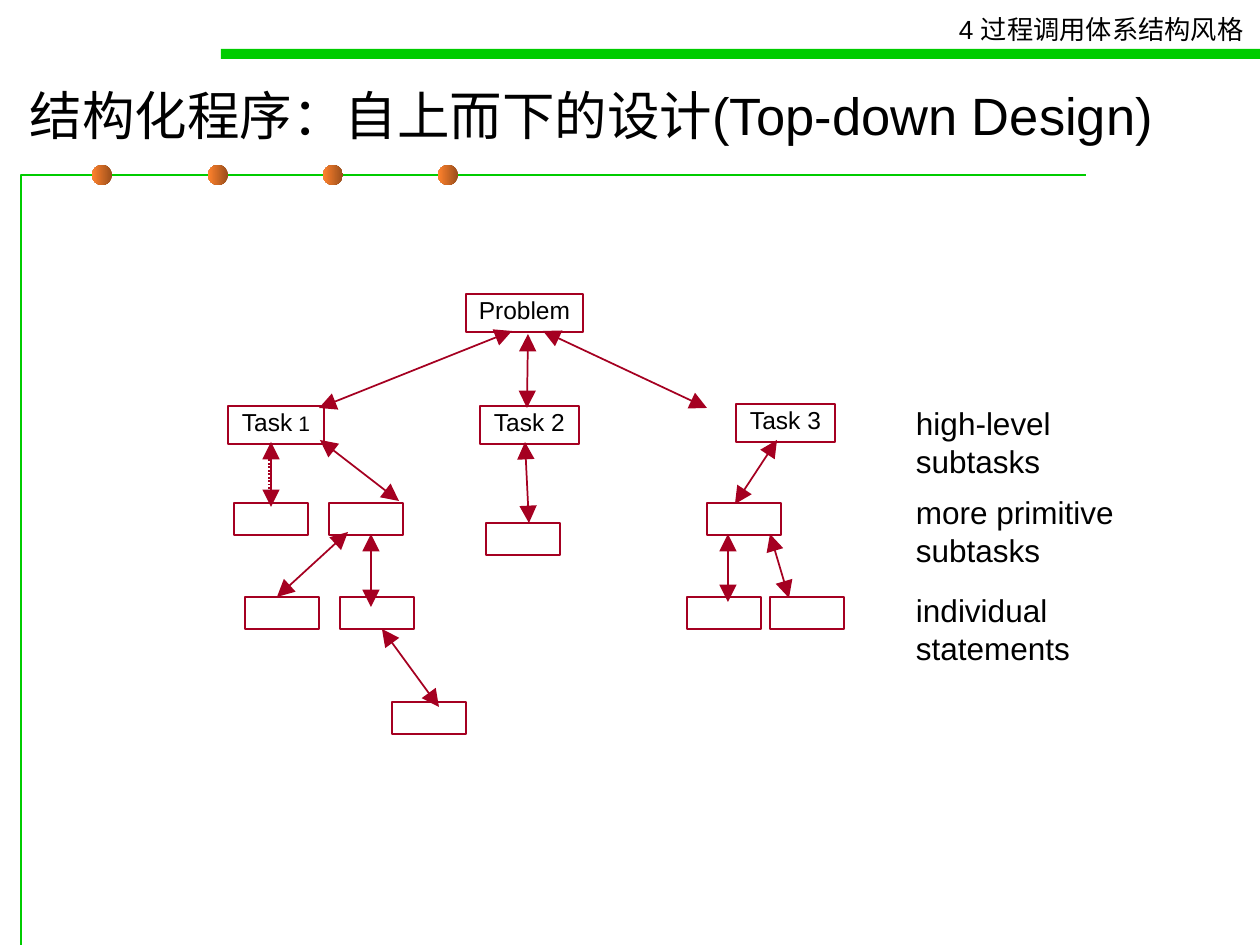
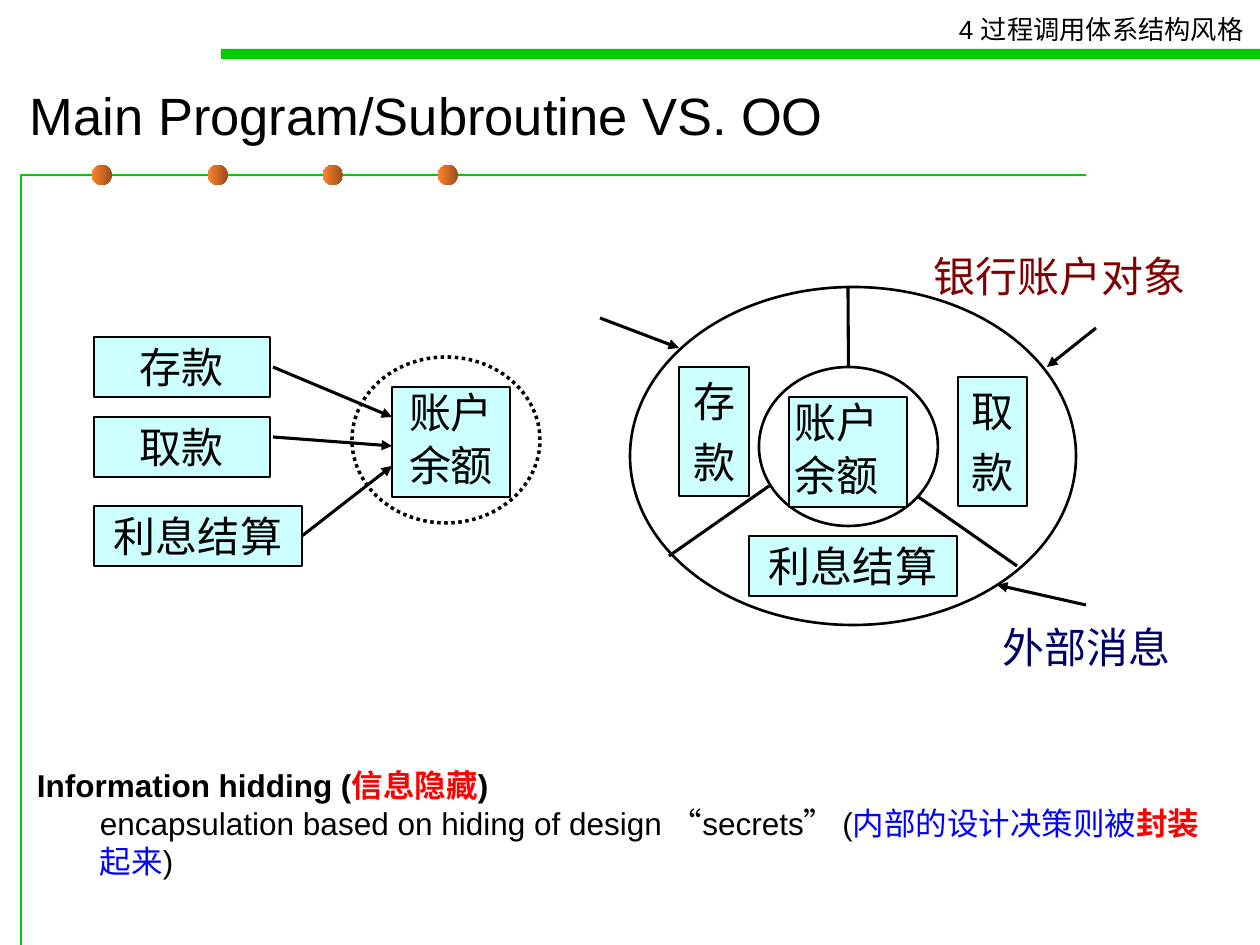
from lxml import etree
from pptx import Presentation
from pptx.dml.color import RGBColor
from pptx.enum.dml import MSO_LINE
from pptx.enum.shapes import MSO_CONNECTOR, MSO_SHAPE
from pptx.enum.text import MSO_ANCHOR, PP_ALIGN
from pptx.oxml.ns import qn
from pptx.util import Emu, Pt

STRAIGHT = MSO_CONNECTOR.STRAIGHT
RECTANGLE, OVAL = MSO_SHAPE.RECTANGLE, MSO_SHAPE.OVAL
DOTTED = MSO_LINE.ROUND_DOT
TOP, MIDDLE = MSO_ANCHOR.TOP, MSO_ANCHOR.MIDDLE
LEFT, CENTER = PP_ALIGN.LEFT, PP_ALIGN.CENTER

BLACK = RGBColor(0x00, 0x00, 0x00)
GREEN = RGBColor(0x00, 0xCC, 0x00)
BEAD_DARK = RGBColor(0x9A, 0x4E, 0x1B)
BEAD_LIGHT = RGBColor(0xFF, 0x82, 0x2D)
CRIMSON = RGBColor(0xA5, 0x00, 0x21)
CYAN = RGBColor(0xCC, 0xFF, 0xFF)
MAROON = RGBColor(0x80, 0x00, 0x00)
NAVY = RGBColor(0x00, 0x00, 0x66)
RED = RGBColor(0xFF, 0x00, 0x00)
BLUE = RGBColor(0x00, 0x00, 0xFF)

SANS, SERIF = "Arial", "Times New Roman"
HEADER = "4 过程调用体系结构风格"


def px(length):
    """Turn pixels into EMU."""
    return Emu(round(length * 914400 / 126))


def style(run, size, color=BLACK, font=SANS, bold=False):
    """Give a run its font."""
    run.font.name, run.font.size, run.font.bold = font, Pt(size), bold
    run.font.color.rgb = color


def write(shape, text, size, color=BLACK, font=SANS, align=LEFT, anchor=TOP,
          wrap=True, inset=(13, 6), line_spacing=None, gap=0):
    """Fill a shape with evenly formatted paragraphs."""
    frame = shape.text_frame
    frame.text = text
    frame.word_wrap, frame.vertical_anchor = wrap, anchor
    frame.margin_left = frame.margin_right = px(inset[0])
    frame.margin_top = frame.margin_bottom = px(inset[1])
    for index, paragraph in enumerate(frame.paragraphs):
        paragraph.alignment = align
        if line_spacing:
            paragraph.line_spacing = line_spacing
        if index and gap:
            paragraph.space_before = Pt(gap)
        for run in paragraph.runs:
            style(run, size, color, font)


def add_label(slide, box, text, size, **options):
    """Add a text box."""
    label = slide.shapes.add_textbox(*map(px, box))
    write(label, text, size, **options)
    return label


def add_outline(slide, kind, box, color=None, weight=0.75, fill=None):
    """Add a preset shape with an optional fill and line."""
    shape = slide.shapes.add_shape(kind, *map(px, box))
    shape.shadow.inherit = False
    if fill is None:
        shape.fill.background()
    else:
        shape.fill.solid()
        shape.fill.fore_color.rgb = fill
    if color is None:
        shape.line.fill.background()
    else:
        shape.line.color.rgb = color
        shape.line.width = Pt(weight)
    return shape


def add_line(slide, origin, ends, color, weight, arrows=(), arrow_size="med"):
    """Draw a straight line with arrowheads at the named ends."""
    x, y = origin
    x1, y1, x2, y2 = ends
    line = slide.shapes.add_connector(
        STRAIGHT, px(x + x1), px(y + y1), px(x + x2), px(y + y2))
    line.line.color.rgb = color
    line.line.width = Pt(weight)
    for arrow in arrows:
        etree.SubElement(line.line._get_or_add_ln(), qn(f"a:{arrow}"),
                         type="triangle", w=arrow_size, len=arrow_size)
    etree.SubElement(line._element.spPr, qn("a:effectLst"))
    return line


def add_frame(slide, title):
    """Draw the header, the green rules, the beads and the title."""
    builder = slide.shapes.build_freeform(px(21), px(945))
    builder.add_line_segments([(px(21), px(175)), (px(1086), px(175))], close=False)
    rule = builder.convert_to_shape()
    rule.shadow.inherit = False
    rule.fill.background()
    rule.line.color.rgb = GREEN
    rule.line.width = Pt(0.75)
    for index in range(4):
        bead = add_outline(slide, OVAL, (92 + round(115.5 * index), 165, 20, 20))
        bead.fill.gradient()
        bead.fill.gradient_angle = 180
        for stop, color, position in zip(
                bead.fill.gradient_stops, (BEAD_DARK, BEAD_LIGHT), (0, 1)):
            stop.color.rgb, stop.position = color, position
    add_outline(slide, RECTANGLE, (221, 49, 1039, 10), fill=GREEN)
    add_label(slide, (957, 7, 303, 44), HEADER, 15, inset=(2, 6))
    add_label(slide, (17, 70, 1171, 89), title, 30, anchor=MIDDLE)


def add_task_tree(slide, x, y):
    """Draw the problem split into tasks and smaller steps."""
    tasks = [("Problem", 238, 0, 117), ("Task", 0, 112, 96),
             ("Task 2", 252, 112, 99), ("Task 3", 508, 110, 99)]
    for name, left, top, width in tasks:
        task = add_outline(slide, RECTANGLE, (x + left, y + top, width, 38), CRIMSON)
        write(task, name, 14, align=CENTER, wrap=False, line_spacing=0.85)
        if name == "Task":
            number = task.text_frame.paragraphs[0].add_run()
            number.text = " 1"
            style(number, 12)
    links = [(284, 37, 91, 114), (315, 37, 479, 114), (300, 40, 299, 114),
             (542, 240, 561, 304), (500, 240, 500, 308), (143, 240, 143, 313),
             (120, 238, 49, 303), (154, 335, 211, 413), (43, 148, 43, 213),
             (92, 146, 171, 207), (297, 148, 301, 229), (549, 146, 507, 210)]
    for link in links:
        add_line(slide, (x, y), link, CRIMSON, 1, ("headEnd", "tailEnd"), "lg")
    trace = add_line(slide, (x, y), (41, 162, 41, 201), CRIMSON, 1)
    trace.line.dash_style = DOTTED
    steps = [(6, 209), (101, 209), (479, 209), (258, 229), (17, 303),
             (112, 303), (459, 303), (542, 303), (164, 408)]
    for left, top in steps:
        add_outline(slide, RECTANGLE, (x + left, y + top, 74, 32), CRIMSON)


def add_level_names(slide, x, y):
    """Name the levels of the task tree."""
    levels = [("high-level\nsubtasks", 0), ("more primitive\nsubtasks", 89),
              ("individual\nstatements", 187)]
    for name, top in levels:
        add_label(slide, (x, y + top, 260, 88), name, 18)


def add_card(slide, origin, box, text, align=CENTER, line_spacing=None):
    """Add a cyan box for an operation or for the data."""
    left, top, width, height = box
    card = add_outline(slide, RECTANGLE,
                       (origin[0] + left, origin[1] + top, width, height),
                       BLACK, fill=CYAN)
    write(card, text, 24, font=SERIF, align=align, anchor=MIDDLE,
          inset=(6, 6), line_spacing=line_spacing, gap=6)
    return card


def add_subroutines(slide, x, y):
    """Draw the routines that reach into the shared balance."""
    origin = (x, y)
    add_card(slide, origin, (0, 0, 176, 60), "存款")
    add_card(slide, origin, (0, 80, 176, 60), "取款")
    interest = add_card(slide, origin, (0, 169, 208, 60), "利息结算")
    add_card(slide, origin, (298, 50, 118, 110), "账户\n余额", line_spacing=0.85)
    boundary = add_outline(slide, OVAL, (x + 258, y + 20, 188, 166), BLACK, 2)
    boundary.line.dash_style = DOTTED
    for access in [(179, 30, 298, 80), (179, 100, 298, 109)]:
        add_line(slide, origin, access, BLACK, 1.75, ("tailEnd",))
    settlement = add_line(slide, origin, (208, 199, 298, 129), BLACK, 1.75, ("tailEnd",))
    settlement.begin_connect(interest, 3)


def add_account_object(slide, x, y):
    """Draw the account object with its operations and messages."""
    origin = (x, y)
    add_outline(slide, OVAL, (x, y, 446, 338), BLACK, 1.5)
    core = add_outline(slide, OVAL, (x + 129, y + 80, 179, 159), BLACK, 1.5)
    add_card(slide, origin, (159, 110, 118, 110), "账户\n余额", LEFT, 0.85)
    add_card(slide, origin, (49, 80, 70, 129), "存\n款")
    add_card(slide, origin, (328, 90, 69, 129), "取\n款")
    add_card(slide, origin, (119, 249, 208, 60), "利息结算")
    divider = add_line(slide, origin, (218, 0, 218, 80), BLACK, 1.75)
    divider.end_connect(core, 0)
    for spoke in [(139, 199, 39, 269), (287, 209, 387, 279)]:
        add_line(slide, origin, spoke, BLACK, 1.75)
    for message in [(-30, 31, 49, 61), (466, 41, 417, 80), (456, 318, 367, 298)]:
        add_line(slide, origin, message, BLACK, 1.75, ("tailEnd",))
    captions = [("银行账户对象", 298, -42, 278, MAROON), ("外部消息", 367, 329, 208, NAVY)]
    for caption, left, top, width, color in captions:
        add_label(slide, (x + left, y + top, width, 63), caption, 24,
                  color=color, font=SERIF, inset=(6, 6))


def add_hiding_note(slide, x, y):
    """Explain information hiding in two paragraphs of coloured runs."""
    note = add_label(slide, (x, y, 1211, 126), "\n", 18)
    passages = [
        [("Information hidding (", BLACK, True), ("信息隐藏", RED, True),
         (")", BLACK, True)],
        [("encapsulation based on hiding of design “secrets” (", BLACK, False),
         ("内部的设计决策则被", BLUE, False), ("封装", RED, True),
         ("起来", BLUE, False), (")", BLACK, False)],
    ]
    for paragraph, passage in zip(note.text_frame.paragraphs, passages):
        for text, color, bold in passage:
            run = paragraph.add_run()
            run.text = text
            style(run, 18, color, bold=bold)
    detail = note.text_frame.paragraphs[1]
    detail.level = 1
    indents = detail._p.get_or_add_pPr()
    indents.set("marL", str(px(63)))
    indents.set("indent", "0")


def build_top_down_slide(slide):
    """Build the slide on top-down design."""
    add_frame(slide, "结构化程序：自上而下的设计(Top-down Design)")
    add_task_tree(slide, 228, 294)
    add_level_names(slide, 903, 398)


def build_comparison_slide(slide):
    """Build the slide comparing subroutines with objects."""
    add_frame(slide, "Main Program/Subroutine VS. OO")
    add_subroutines(slide, 94, 337)
    add_account_object(slide, 630, 287)
    add_hiding_note(slide, 24, 760)


def main():
    """Build and save the presentation."""
    deck = Presentation()
    deck.slide_width, deck.slide_height = px(1260), px(945)
    for build in (build_top_down_slide, build_comparison_slide):
        build(deck.slides.add_slide(deck.slide_layouts[6]))
    deck.save("out.pptx")


if __name__ == "__main__":
    main()
